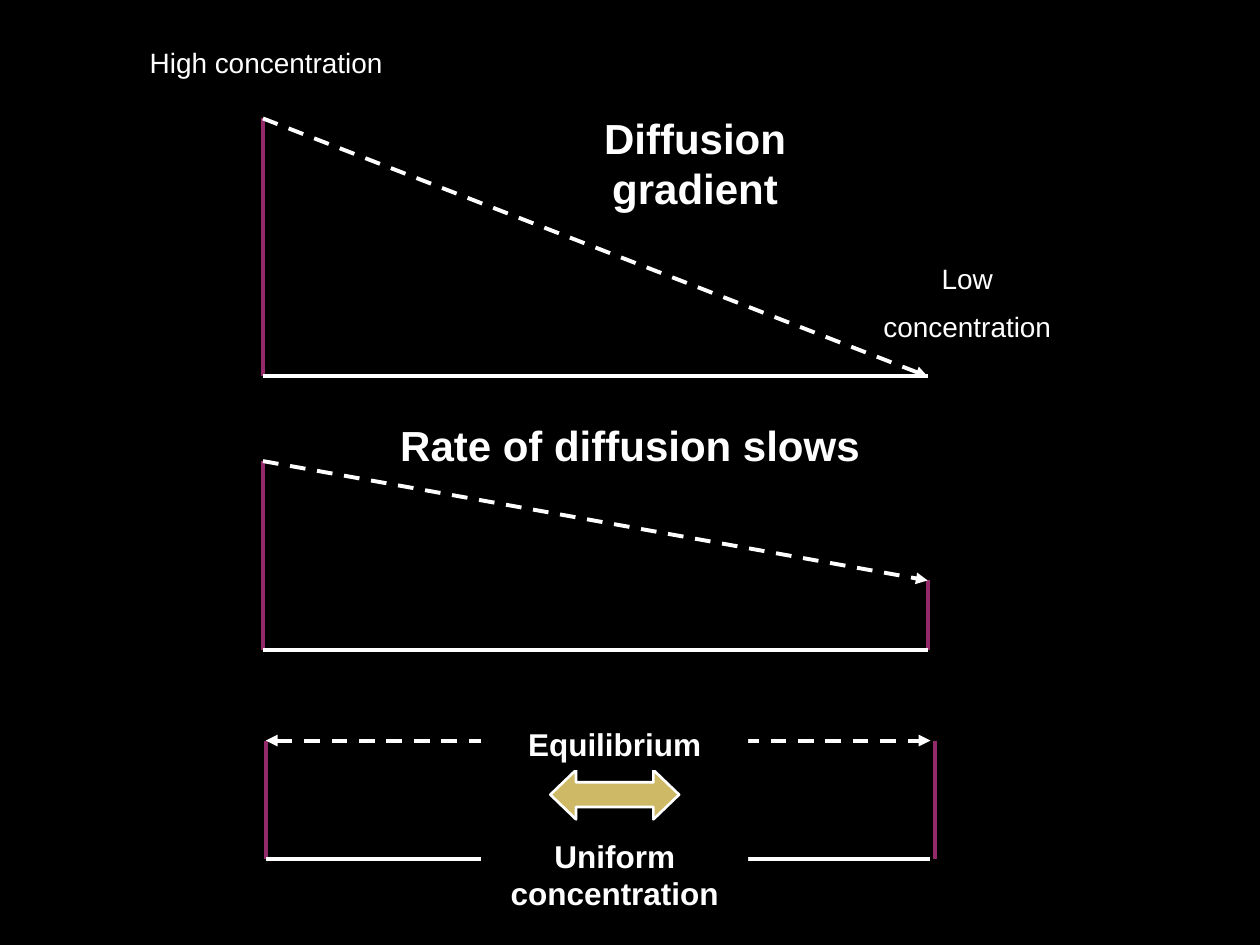
from pptx import Presentation
from pptx.dml.color import RGBColor
from pptx.enum import dml, shapes, text
from pptx.oxml import xmlchemy as x
from pptx.oxml.ns import qn
from pptx.util import Pt
from lxml import etree

COLORS = {"back": "000000", "ink": "FFFFFF", "pole": "932968", "arrow": "CEB966"}


def rgb(name):
    return RGBColor.from_string(COLORS[name])


def add_line(s, x1, y1, x2, y2, color="ink", heads=()):
    line = s.shapes.add_connector(
        shapes.MSO_CONNECTOR.STRAIGHT, Pt(x1), Pt(y1), Pt(x2), Pt(y2))
    line.line.color.rgb = rgb(color)
    line.line.width = Pt(2.25)
    if heads:
        line.line.dash_style = dml.MSO_LINE.DASH
    ln = line.line._get_or_add_ln()
    for head in heads:
        etree.SubElement(ln, qn("a:" + head), type="triangle")
    etree.SubElement(line._element.spPr, qn("a:effectLst"))


def add_label(s, box, lines, size, bold=False, filled=False,
              align=text.PP_ALIGN.CENTER):
    place = [Pt(v) for v in box]
    if filled:
        sp = s.shapes.add_shape(shapes.MSO_SHAPE.RECTANGLE, *place)
        sp.shadow.inherit = False
        sp.fill.solid()
        sp.fill.fore_color.rgb = rgb("back")
        sp.line.fill.background()
    else:
        sp = s.shapes.add_textbox(*place)
    tf = sp.text_frame
    tf.word_wrap = True
    tf.auto_size = text.MSO_AUTO_SIZE.SHAPE_TO_FIT_TEXT
    tf.vertical_anchor = text.MSO_ANCHOR.TOP
    for i, words in enumerate(lines):
        p = tf.add_paragraph() if i else tf.paragraphs[0]
        p.alignment = align
        if i:
            p.space_before = Pt(size / 2)
        r = p.add_run()
        r.text = words
        r.font.name = "Arial"
        r.font.size = Pt(size)
        r.font.bold = bold
        r.font.color.rgb = rgb("ink")


def add_graph(s, left, top, width, height, drop, heads=("tailEnd",), gap=0):
    right, base = left + width, top + height
    add_line(s, left, top, left, base, "pole")
    if drop < height:
        add_line(s, right + gap, top + drop, right + gap, base, "pole")
    add_line(s, left, base, right, base)
    add_line(s, left, top, right, top + drop, heads=heads)


def steep_stage(s, left, top, width, height):
    add_graph(s, left, top, width, height, height)
    add_label(s, (left - 72, top - 45.4, 147.6, 46), ["High concentration"], 16)
    add_label(s, (left + 321.8, top + 78.5, 161.3, 55.4),
              ["Low", "concentration"], 16)
    add_label(s, (left + 160.5, top - 7.2, 172.8, 65.5),
              ["Diffusion gradient"], 24, bold=True)


def slowing_stage(s, left, top, width, height):
    add_graph(s, left, top, width, height, 68.2)
    add_label(s, (left + 71.3, top - 27.4, 324, 36),
              ["Rate of diffusion slows"], 24, bold=True,
              align=text.PP_ALIGN.LEFT)


def equilibrium_stage(s, left, top, width, height):
    add_graph(s, left, top, width, height, 0, ("headEnd", "tailEnd"), gap=2.4)
    sp = s.shapes.add_shape(shapes.MSO_SHAPE.LEFT_RIGHT_ARROW, Pt(left + 162.6),
                            Pt(top + 16.8), Pt(73.6), Pt(28.2))
    sp.shadow.inherit = False
    sp.adjustments[0] = 0.5
    sp.adjustments[1] = 0.52
    sp.fill.solid()
    sp.fill.fore_color.rgb = rgb("arrow")
    sp.line.color.rgb = rgb("ink")
    sp.line.width = Pt(1.5)
    add_label(s, (left + 123.1, top + 51.3, 152.6, 51),
              ["Uniform concentration"], 18, bold=True, filled=True)
    add_label(s, (left + 123.1, top - 12.2, 152.6, 29),
              ["Equilibrium"], 18, bold=True, filled=True)


def main():
    prs = Presentation()
    prs.slide_width, prs.slide_height = Pt(720), Pt(540)
    s = prs.slides.add_slide(prs.slide_layouts[6])
    s.background.fill.solid()
    s.background.fill.fore_color.rgb = rgb("back")
    steep_stage(s, 150.3, 67.7, 379.8, 147.4)
    slowing_stage(s, 150.3, 263.5, 379.8, 107.8)
    equilibrium_stage(s, 151.9, 423.2, 379.8, 67.8)
    prs.save("out.pptx")


if __name__ == "__main__":
    main()
